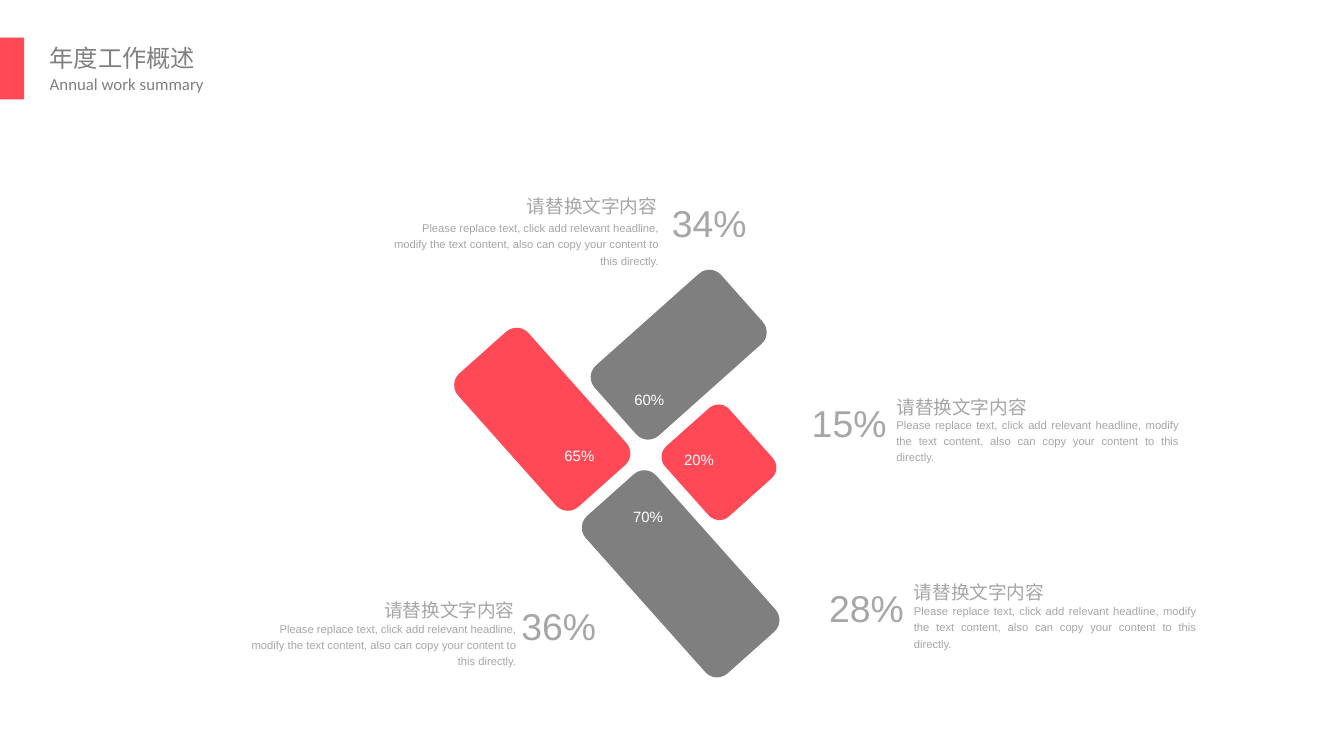
import pptx
import pptx.dml.color
import pptx.enum.shapes
import pptx.enum.text
import pptx.oxml
import pptx.oxml.ns
import pptx.util
from pptx.util import Inches

RED, GRAY, TITLE_GRAY, TEXT_GRAY, WHITE = "FF4957", "7F7F7F", "808080", "A6A6A6", "FFFFFF"
CJK_FONT = "Noto Sans CJK SC"
ALIGN = pptx.enum.text.PP_ALIGN
SHAPES = pptx.enum.shapes.MSO_SHAPE
TILT = 48.3

HEADLINE = "请替换文字内容"
BODY = ("Please replace text, click add relevant headline, modify the text content, "
        "also can copy your content to this directly.")

# left, top, width, height, colour
BARS = [
    (3.37, 2.77, 1.33, 0.7, RED),
    (4.28, 3.92, 1.57, 0.7, GRAY),
    (4.7, 2.01, 0.7, 1.26, GRAY),
    (5, 3.12, 0.7, 0.64, RED),
]
# text, left, top
BAR_LABELS = [("65%", 4.13, 3.26), ("70%", 4.64, 3.71), ("20%", 5.02, 3.29), ("60%", 4.65, 2.84)]
# percentage, its left, headline top, body top, edge shared by both, text stands left of percentage
CALLOUTS = [
    ("15%", 6.04, 2.91, 3.09, 6.67, False),
    ("34%", 5, 1.42, 1.63, 4.9, True),
    ("28%", 6.17, 4.29, 4.48, 6.8, False),
    ("36%", 3.88, 4.42, 4.61, 3.84, True),
]


def rgb(color):
    return pptx.dml.color.RGBColor.from_string(color)


def add_block(slide, kind, left, top, width, height, color, rotation=0):
    shape = slide.shapes.add_shape(kind, Inches(left), Inches(top), Inches(width), Inches(height))
    shape.shadow.inherit = False
    shape.fill.solid()
    shape.fill.fore_color.rgb = rgb(color)
    shape.line.fill.background()
    shape.rotation = rotation


def add_text(slide, text, left, top, width, height, size, color, font="Arial",
             align=ALIGN.LEFT, spacing=1.2, insets=(0, 0), wrap=False):
    box = slide.shapes.add_textbox(Inches(left), Inches(top), Inches(width), Inches(height))
    frame = box.text_frame
    frame.margin_left = frame.margin_right = Inches(insets[0])
    frame.margin_top = frame.margin_bottom = Inches(insets[1])
    frame.word_wrap = wrap
    frame.auto_size = pptx.enum.text.MSO_AUTO_SIZE.SHAPE_TO_FIT_TEXT
    frame.text = text
    paragraph = frame.paragraphs[0]
    paragraph.alignment = align
    paragraph.line_spacing = spacing
    run = paragraph.runs[0]
    run.font.size = pptx.util.Pt(size)
    run.font.name = font
    run.font.color.rgb = rgb(color)
    east_asian = pptx.oxml.parse_xml(
        f'<a:ea {pptx.oxml.ns.nsdecls("a")} typeface="{CJK_FONT}"/>')
    run.font._element.append(east_asian)


def add_callout(slide, percentage, left, top, body_top, edge, on_left):
    headline_width, body_width = 0.98, 2.01 if on_left else 2.1
    add_text(slide, HEADLINE, edge - headline_width if on_left else edge, top,
             headline_width, 0.2, 10, TEXT_GRAY)
    add_text(slide, BODY, edge - body_width if on_left else edge, body_top,
             body_width, 0.36, 6, TEXT_GRAY, wrap=True,
             align=ALIGN.RIGHT if on_left else ALIGN.JUSTIFY)
    add_text(slide, percentage, left, top, 0.56, 0.4, 20, TEXT_GRAY, align=ALIGN.JUSTIFY)


def main():
    presentation = pptx.Presentation()
    presentation.slide_width = Inches(10)
    presentation.slide_height = presentation.slide_width * 9 // 16
    slide = presentation.slides.add_slide(presentation.slide_layouts[6])

    add_text(slide, "年度工作概述", 0.29, 0.28, 1.25, 0.29, 13, TITLE_GRAY,
             font=CJK_FONT, spacing=1, insets=(0.08, 0.04))
    add_text(slide, "Annual work summary", 0.29, 0.51, 1.31, 0.23, 9, TITLE_GRAY,
             font="Calibri", spacing=1, insets=(0.08, 0.04))
    add_block(slide, SHAPES.RECTANGLE, 0, 0.28, 0.18, 0.46, RED)

    for bar in BARS:
        add_block(slide, SHAPES.ROUNDED_RECTANGLE, *bar, rotation=TILT)
    for text, left, top in BAR_LABELS:
        add_text(slide, text, left, top, 0.37, 0.23, 8, WHITE,
                 align=ALIGN.JUSTIFY, insets=(0.07, 0.04))
    for callout in CALLOUTS:
        add_callout(slide, *callout)

    presentation.save("out.pptx")


if __name__ == "__main__":
    main()
